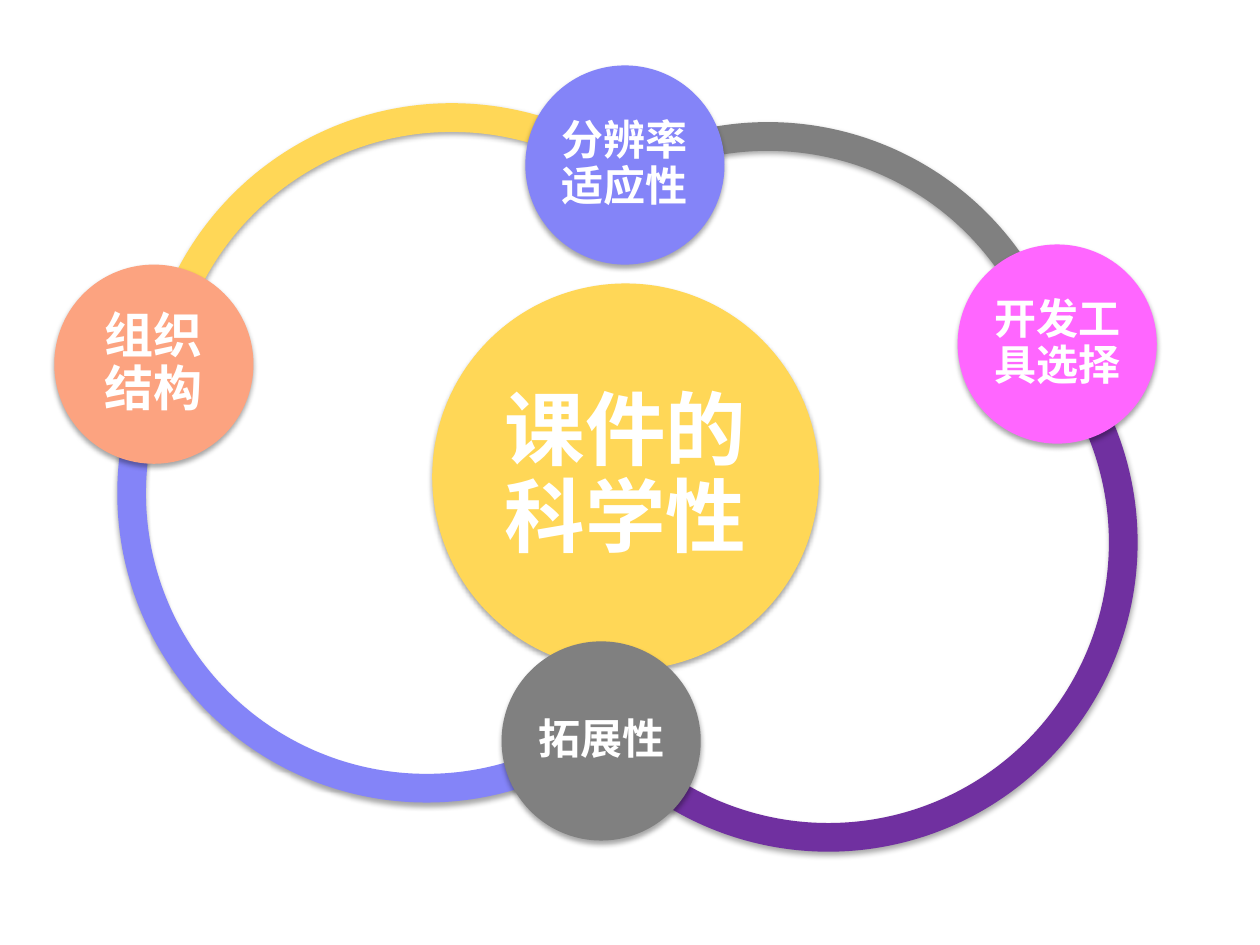
import pptx
import pptx.util
from lxml import etree
from pptx.dml.color import RGBColor
from pptx.enum.shapes import MSO_SHAPE
from pptx.enum.text import MSO_ANCHOR, PP_ALIGN
from pptx.oxml.ns import qn

Pt = pptx.util.Pt

COLORS = {
    "yellow": "FFD757",
    "blue": "8484F8",
    "purple": "7030A0",
    "gray": "808080",
    "pink": "FF66FF",
    "salmon": "FCA380",
    "white": "FFFFFF",
    "shadow": "000000",
}
FONT = "Noto Sans CJK SC"
ARC_SIZE = 353.5
NODE_SIZE = 113.8
CENTER_SIZE = 221

# left, top, start angle, end angle, colour
ARCS = [
    (81.4, 59, 189.43, 304.89, "yellow"),
    (67, 105.1, 54.94, 205.42, "blue"),
    (296.6, 133.2, 318.99, 138.99, "purple"),
    (262.1, 69.8, 241.79, 343.12, "gray"),
]
# left, top, text, font size, inset, colour
NODES = [
    (300.2, 37.4, "分辨率适应性", 24, 2.4, "blue"),
    (547.2, 139.7, "开发工具选择", 24, 2.4, "pink"),
    (286.6, 366.5, "拓展性", 24, 2.4, "gray"),
    (31, 151.2, "组织结构", 28, 2.8, "salmon"),
]


def add_soft_shadow(sp):
    sp.shadow.inherit = False
    effects = sp._element.spPr.find(qn("a:effectLst"))
    shadow = etree.SubElement(
        effects, qn("a:outerShdw"), blurRad=str(Pt(3.1)), dist=str(Pt(1.8)),
        dir="5400000", rotWithShape="0")
    color = etree.SubElement(shadow, qn("a:srgbClr"), val=COLORS["shadow"])
    etree.SubElement(color, qn("a:alpha"), val="35000")


def add_filled(s, kind, left, top, size, color):
    """Add a square-boxed, shadowed shape without an outline."""
    sp = s.shapes.add_shape(kind, Pt(left), Pt(top), Pt(size), Pt(size))
    sp.fill.solid()
    sp.fill.fore_color.rgb = RGBColor.from_string(COLORS[color])
    sp.line.fill.background()
    add_soft_shadow(sp)
    return sp


def add_arc(s, left, top, start, end, color):
    sp = add_filled(s, MSO_SHAPE.BLOCK_ARC, left, top, ARC_SIZE, color)
    # Angles are stored in 1/60000 degree, adjustments in 1/100000
    sp.adjustments[0] = start * 0.6
    sp.adjustments[1] = end * 0.6
    sp.adjustments[2] = 4.64 / 100


def add_circle(s, left, top, size, text, font_size, inset, color):
    sp = add_filled(s, MSO_SHAPE.OVAL, left, top, size, color)
    tf = sp.text_frame
    tf.word_wrap = True
    tf.vertical_anchor = MSO_ANCHOR.MIDDLE
    tf.margin_left = tf.margin_right = Pt(inset)
    tf.margin_top = tf.margin_bottom = Pt(inset)
    tf.text = text
    p = tf.paragraphs[0]
    p.alignment = PP_ALIGN.CENTER
    p.line_spacing = 0.9
    r = p.runs[0]
    r.font.size = Pt(font_size)
    r.font.bold = True
    r.font.color.rgb = RGBColor.from_string(COLORS["white"])
    r.font.name = FONT
    etree.SubElement(r.font._element, qn("a:ea"), typeface=FONT)


def main():
    prs = pptx.Presentation()
    prs.slide_width, prs.slide_height = Pt(720), Pt(540)
    s = prs.slides.add_slide(prs.slide_layouts[6])
    for arc in ARCS:
        add_arc(s, *arc)
    add_circle(s, 247, 162, CENTER_SIZE, "课件的科学性", 46, 4.6, "yellow")
    for left, top, *label in NODES:
        add_circle(s, left, top, NODE_SIZE, *label)
    prs.save("out.pptx")


if __name__ == "__main__":
    main()
